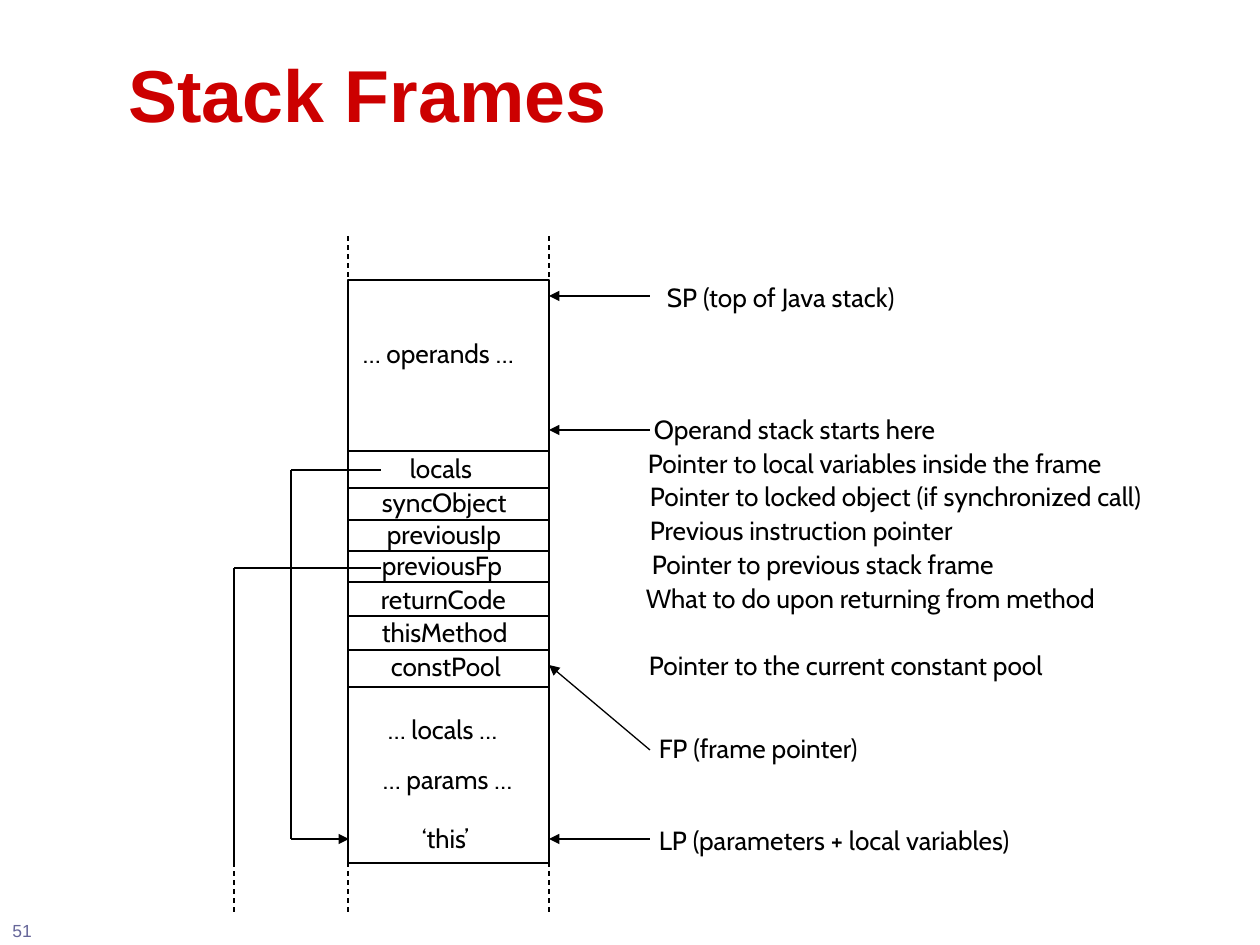
import pptx
import pptx.util
import pptx.dml.color
import pptx.enum.dml
import pptx.enum.shapes
import pptx.enum.text
import pptx.oxml.ns
from lxml import etree

EMU_PER_PX = 914400 / 126
COLORS = {"title": "CC0000", "ink": "000000", "number": "666699"}

TITLE = ("Stack Frames", (116, 21, 1050, 158))
PAGE_NUMBER = ("51", (0, 914, 116, 31))

LABEL_HEIGHT = 45
# text, left, top, width
FRAME_LABELS = [
    ("… operands …", 349, 331, 207),
    ("locals", 396, 446, 96),
    ("syncObject", 368, 480, 163),
    ("previousIp", 373, 512, 159),
    ("previousFp", 368, 543, 164),
    ("returnCode", 367, 577, 169),
    ("thisMethod", 368, 610, 169),
    ("constPool", 377, 644, 149),
    ("… locals …", 374, 707, 159),
    ("… params …", 369, 757, 183),
    ("‘this’", 408, 816, 81),
]
NOTES = [
    ("SP (top of Java stack)", 653, 275, 280),
    ("Operand stack starts here", 640, 407, 347),
    ("Pointer to local variables inside the frame", 634, 441, 538),
    ("Pointer to locked object (if synchronized call)", 636, 474, 576),
    ("Previous instruction pointer", 636, 508, 370),
    ("Pointer to previous stack frame", 638, 542, 413),
    ("What to do upon returning from method", 632, 576, 529),
    ("Pointer to the current constant pool", 635, 643, 470),
    ("FP (frame pointer)", 645, 726, 249),
    ("LP (parameters + local variables)", 645, 818, 426),
]

FRAME_LEFT, FRAME_TOP, FRAME_RIGHT, FRAME_BOTTOM = 348, 280, 549, 863
DIVIDERS = [451, 488, 520, 551, 582, 616, 650, 687]
POINTER_START = 650
POINTERS = [(296, 296), (430, 430), (750, 665), (839, 839)]  # start y, end y
DASH_LENGTH = 50
DASH_TOPS = [236, FRAME_BOTTOM - 1]
LOCALS_PATH = [(381, 470), (291, 470), (291, 839), (FRAME_LEFT + 1, 839)]
PREVIOUS_FRAME_PATH = [(381, 568), (234, 568), (234, FRAME_BOTTOM - 1)]


def px(value):
    return pptx.util.Emu(round(value * EMU_PER_PX))


def rgb(name):
    return pptx.dml.color.RGBColor.from_string(COLORS[name])


def add_text(slide, text, box, size, font, color, bold=False):
    shape = slide.shapes.add_textbox(*map(px, box))
    frame = shape.text_frame
    frame.text = text
    frame.word_wrap = True
    run = frame.paragraphs[0].runs[0]
    run.font.size = pptx.util.Pt(size)
    run.font.name = font
    run.font.bold = bold
    run.font.color.rgb = rgb(color)
    return frame


def add_label(slide, text, left, top, width):
    frame = add_text(slide, text, (left, top, width, LABEL_HEIGHT), 15, "Cabin", "ink")
    frame.word_wrap = False
    frame.auto_size = pptx.enum.text.MSO_AUTO_SIZE.SHAPE_TO_FIT_TEXT
    frame.margin_left = frame.margin_right = pptx.util.Inches(0.11)


def add_line(slide, start, end, dashed=False, arrow=False):
    connector = slide.shapes.add_connector(
        pptx.enum.shapes.MSO_CONNECTOR.STRAIGHT, *map(px, start + end))
    connector.line.color.rgb = rgb("ink")
    connector.line.width = pptx.util.Pt(0.75)
    if dashed:
        connector.line.dash_style = pptx.enum.dml.MSO_LINE.DASH
    if arrow:
        tail = etree.SubElement(connector.line._get_or_add_ln(), pptx.oxml.ns.qn("a:tailEnd"))
        tail.set("type", "triangle")
    etree.SubElement(connector._element.spPr, pptx.oxml.ns.qn("a:effectLst"))


def add_path(slide, points, arrow=False):
    """Draw straight segments through the points, with an optional arrow at the last."""
    for start, end in zip(points, points[1:]):
        add_line(slide, start, end, arrow=arrow and end == points[-1])


def add_dash(slide, x, top):
    add_line(slide, (x, top), (x, top + DASH_LENGTH), dashed=True)


def add_stack_frame(slide):
    outline = slide.shapes.add_shape(
        pptx.enum.shapes.MSO_SHAPE.RECTANGLE, px(FRAME_LEFT), px(FRAME_TOP),
        px(FRAME_RIGHT - FRAME_LEFT), px(FRAME_BOTTOM - FRAME_TOP))
    outline.shadow.inherit = False
    outline.fill.background()
    outline.line.color.rgb = rgb("ink")
    outline.line.width = pptx.util.Pt(0.75)
    for y in DIVIDERS:
        add_line(slide, (FRAME_RIGHT, y), (FRAME_LEFT, y))
    for top in DASH_TOPS:
        for x in (FRAME_LEFT, FRAME_RIGHT):
            add_dash(slide, x, top)


def main():
    presentation = pptx.Presentation()
    presentation.slide_width = px(1260)
    presentation.slide_height = px(945)
    slide = presentation.slides.add_slide(presentation.slide_layouts[6])

    title = add_text(slide, *TITLE, 42, "Arial", "title", bold=True)
    title.vertical_anchor = pptx.enum.text.MSO_ANCHOR.MIDDLE
    title.paragraphs[0].line_spacing = 0.85

    add_stack_frame(slide)
    for label in FRAME_LABELS + NOTES:
        add_label(slide, *label)
    for start_y, end_y in POINTERS:
        add_line(slide, (POINTER_START, start_y), (FRAME_RIGHT, end_y), arrow=True)

    add_path(slide, LOCALS_PATH, arrow=True)
    add_path(slide, PREVIOUS_FRAME_PATH)
    add_dash(slide, *PREVIOUS_FRAME_PATH[-1])

    add_text(slide, *PAGE_NUMBER, 10, "Arial", "number")
    presentation.save("out.pptx")


if __name__ == "__main__":
    main()
